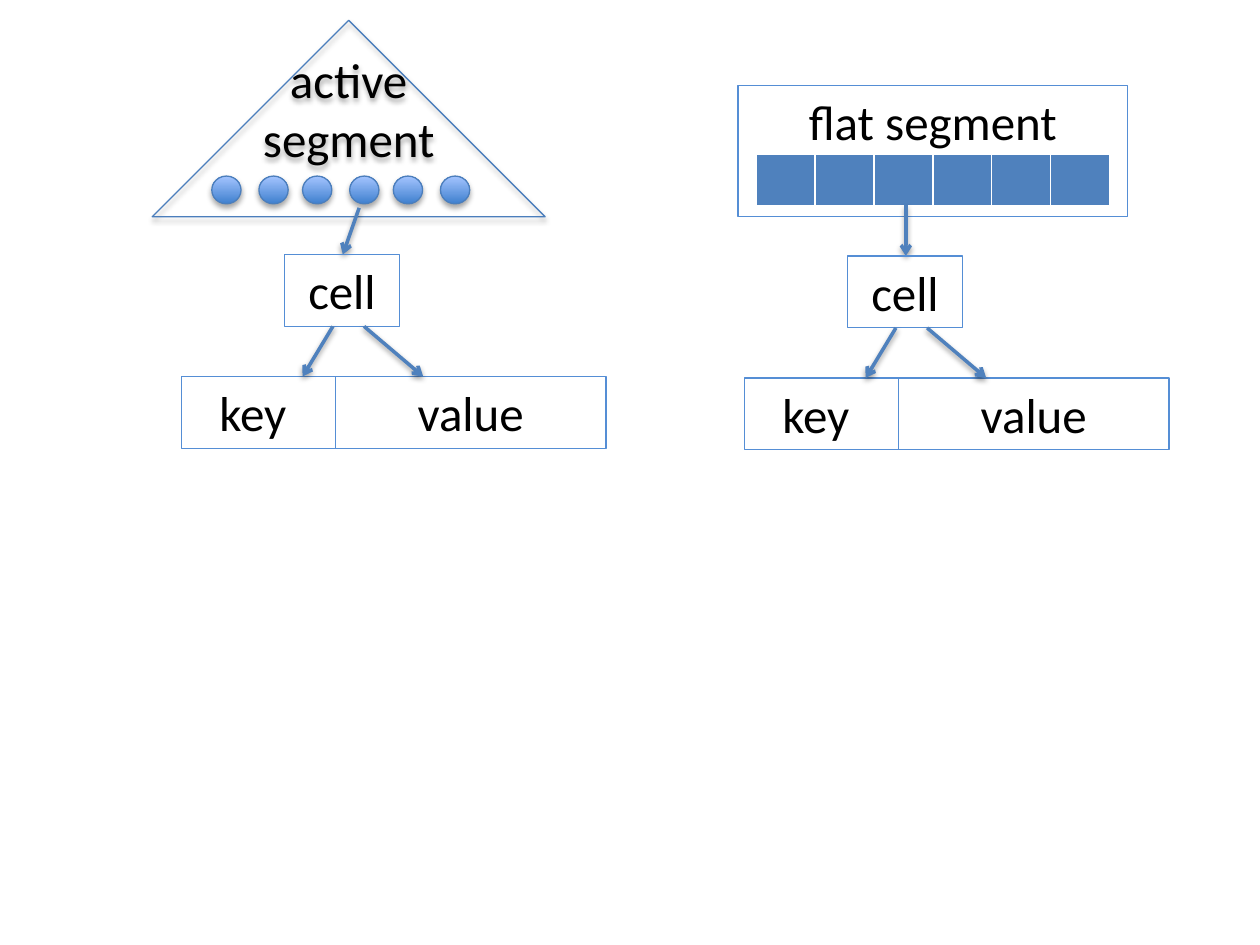
"""Builds a slide comparing the active segment and the flat segment."""
from pptx import Presentation
from pptx.dml.color import RGBColor
from pptx.enum.shapes import MSO_CONNECTOR, MSO_SHAPE
from pptx.enum.text import MSO_ANCHOR, PP_ALIGN
from pptx.oxml import parse_xml
from pptx.oxml.ns import nsdecls
from pptx.util import Cm, Pt

COLORS = {"box": "558ED5", "edge": "4B7EBC", "arrow": "4F81BD", "low": "3F80CE",
          "high": "A4C4FF", "text": "000000", "shadow": "000000"}
TRIANGLE = ("active\vsegment", 3.07, 0.41, 7.92, 3.96)
FLAT = ("flat segment", 14.88, 1.73, 7.85, 2.64)
DOT_COUNT, DOT_LEFT, DOT_TOP = 6, 4.27, 3.55
DOT_STEP, PAIR_STEP = 0.95, 1.83
SLOT_COUNT, SLOTS = 6, (15.24, 3.1, 7.13, 1.04)
ENTRY_ARROWS = [(7.24, 4.19, 6.91, 5.13), (18.26, 4.14, 18.26, 5.16)]
TREE_OFFSETS = [(0, 0), (11.35, 0.03)]
TREE_BOXES = [("cell", 5.74, 5.13, 2.31, 1.45), ("key ", 3.66, 7.59, 3.1, 1.45),
              ("value", 6.76, 7.59, 5.46, 1.45)]
TREE_ARROWS = [(6.71, 6.58, 6.1, 7.59), (7.34, 6.58, 8.53, 7.59)]


def color(name):
    return RGBColor.from_string(COLORS[name])


def effects(distance, alpha):
    return parse_xml(
        f'<a:effectLst {nsdecls("a")}><a:outerShdw blurRad="40000" dist="{distance}" '
        f'dir="5400000" rotWithShape="0"><a:srgbClr val="{COLORS["shadow"]}">'
        f'<a:alpha val="{alpha}"/></a:srgbClr></a:outerShdw></a:effectLst>')


def add_outline(kind, left, top, width, height, edge, shadowed=False):
    shape = page.shapes.add_shape(kind, Cm(left), Cm(top), Cm(width), Cm(height))
    shape.fill.background()
    shape.line.color.rgb = color(edge)
    shape.line.width = Pt(0.75)
    shape.shadow.inherit = False
    if shadowed:
        properties = shape._element.spPr
        properties.remove(properties[-1])
        properties.append(effects(23000, 35000))
    return shape


def add_label(shape, text, anchor=MSO_ANCHOR.TOP):
    frame = shape.text_frame
    frame.text = text
    frame.word_wrap = True
    frame.vertical_anchor = anchor
    para = frame.paragraphs[0]
    para.alignment = PP_ALIGN.CENTER
    for span in para.runs:
        span.font.name = "Calibri"
        span.font.size = Pt(28)
        span.font.color.rgb = color("text")


def add_box(text, *place):
    add_label(add_outline(MSO_SHAPE.RECTANGLE, *place, "box"), text)


def add_arrow(*ends):
    arrow = page.shapes.add_connector(MSO_CONNECTOR.STRAIGHT, *map(Cm, ends))
    arrow.line.color.rgb = color("arrow")
    arrow.line.width = Pt(2)
    arrow.line._get_or_add_ln().append(
        parse_xml(f'<a:tailEnd {nsdecls("a")} type="arrow"/>'))
    arrow._element.spPr.append(effects(20000, 38000))


deck = Presentation()
deck.slide_width, deck.slide_height = Cm(25.4), Cm(19.05)
page = deck.slides.add_slide(deck.slide_layouts[6])

title, *place = TRIANGLE
triangle = add_outline(MSO_SHAPE.ISOSCELES_TRIANGLE, *place, "edge", True)
add_label(triangle, title, MSO_ANCHOR.BOTTOM)
triangle.text_frame.margin_bottom = Cm(1)

for index in range(DOT_COUNT):
    pair, member = divmod(index, 2)
    left = DOT_LEFT + pair * PAIR_STEP + member * DOT_STEP
    dot = add_outline(MSO_SHAPE.OVAL, left, DOT_TOP, 0.59, 0.56, "edge", True)
    dot.fill.gradient()
    dot.fill.gradient_angle = 90
    for stop, name in zip(dot.fill.gradient_stops, ("low", "high")):
        stop.color.rgb = color(name)

add_box(*FLAT)
slots = page.shapes.add_table(1, SLOT_COUNT, *map(Cm, SLOTS)).table
for cell in slots.iter_cells():
    cell.fill.solid()
    cell.fill.fore_color.rgb = color("arrow")

for ends in ENTRY_ARROWS:
    add_arrow(*ends)
for right, down in TREE_OFFSETS:
    for text, left, top, width, height in TREE_BOXES:
        add_box(text, left + right, top + down, width, height)
    for x1, y1, x2, y2 in TREE_ARROWS:
        add_arrow(x1 + right, y1 + down, x2 + right, y2 + down)

deck.save("out.pptx")
